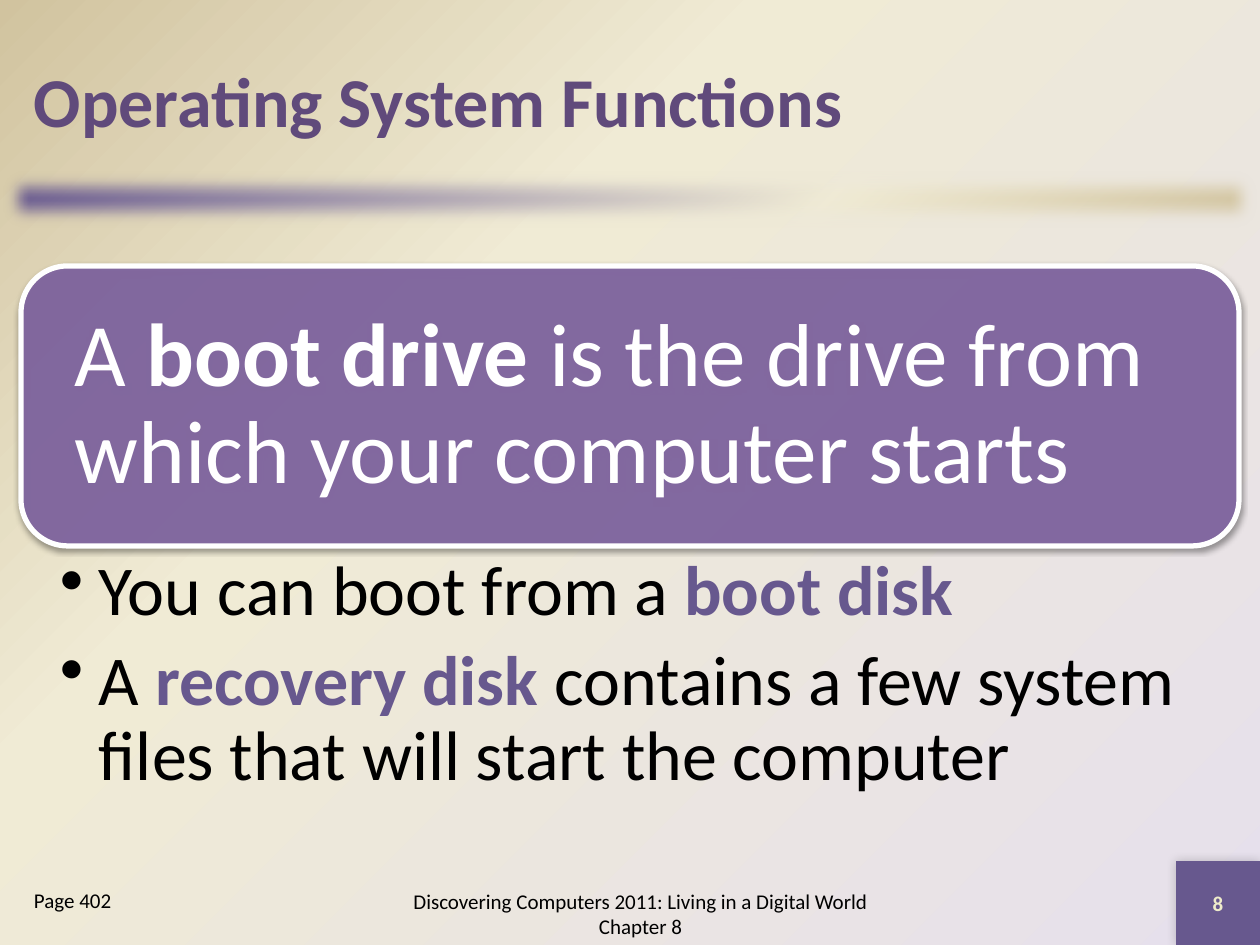
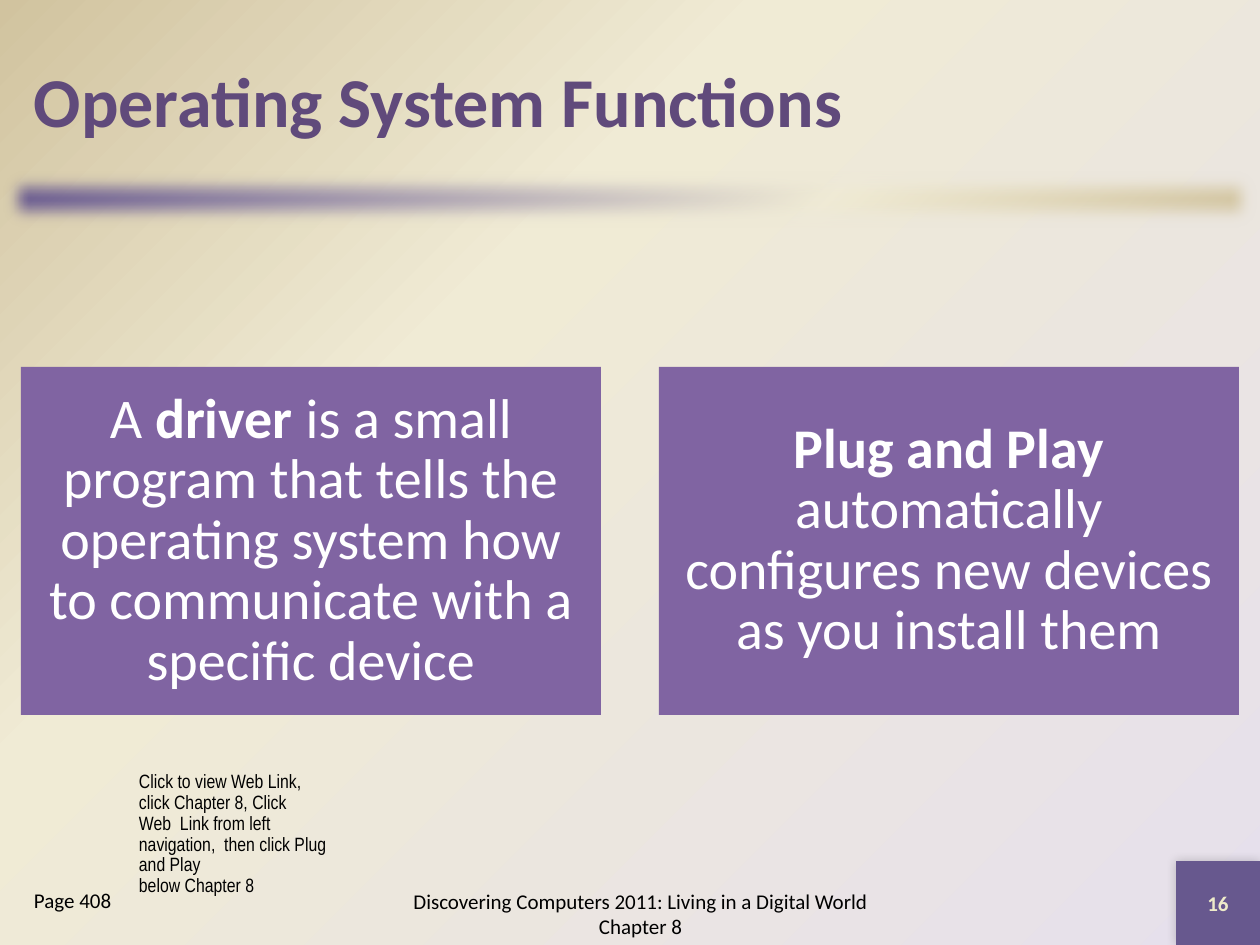
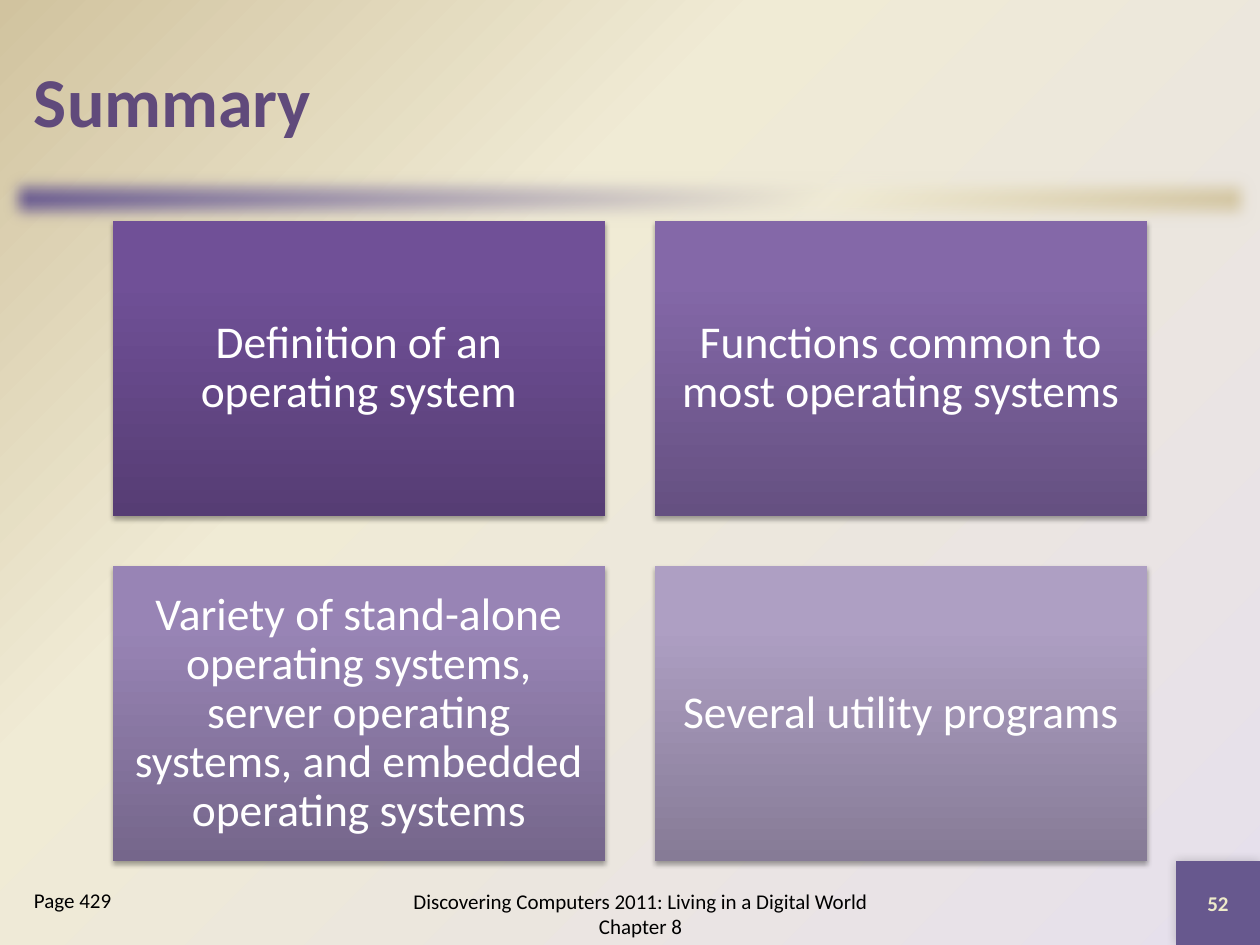
from lxml import etree
from pptx import Presentation
from pptx import util as u
from pptx.dml.color import RGBColor
from pptx.enum import shapes, text
from pptx.oxml.ns import qn

EMU_PER_PX = 914400 / 126
PURPLE, VIOLET, SAND, TAN = "67588E", "8064A2", "F0EBD5", "D1C39F"
TITLE_COLOUR, NUMBER_COLOUR = "604A7B", "EEEBCA"
WHITE, BLACK, LILAC = "FFFFFF", "000000", "E6E0EC"
FOOTER = "Discovering Computers 2011: Living in a Digital World Chapter 8"
LEFT, CENTRE = text.PP_ALIGN.LEFT, text.PP_ALIGN.CENTER
TOP, MIDDLE = text.MSO_ANCHOR.TOP, text.MSO_ANCHOR.MIDDLE
RECT = shapes.MSO_SHAPE.RECTANGLE
ROUNDED = shapes.MSO_SHAPE.ROUNDED_RECTANGLE
BOLD = {"bold": True}
KEY_TERM = {"bold": True, "colour": PURPLE}


def px(length):
    return u.Emu(round(length * EMU_PER_PX))


def rgb(colour):
    return RGBColor.from_string(colour)


def child(parent, tag, **attributes):
    element = etree.SubElement(parent, qn(tag))
    for name, value in attributes.items():
        element.set(name, str(value))
    return element


def gradient(fill, owner, stops, angle=None):
    """Fill with (percent, colour) stops: along an angle, or out from the lower right corner."""
    fill.gradient()
    grad = owner.find(".//" + qn("a:gradFill"))
    for part in list(grad):
        grad.remove(part)
    stop_list = child(grad, "a:gsLst")
    for percent, colour in stops:
        stop = child(stop_list, "a:gs", pos=percent * 1000)
        child(stop, "a:srgbClr", val=colour)
    if angle is None:
        route = child(grad, "a:path", path="circle")
        child(route, "a:fillToRect", l=100000, t=100000)
    else:
        child(grad, "a:lin", ang=angle * 60000, scaled=0)


def effects(shape):
    return shape.element.spPr.find(qn("a:effectLst"))


def drop_shadow(shape, opacity, blur, distance, angle):
    shadow = child(effects(shape), "a:outerShdw", blurRad=u.Pt(blur), dist=u.Pt(distance),
                   dir=angle * 60000, algn="ctr", rotWithShape=0)
    colour = child(shadow, "a:srgbClr", val=BLACK)
    child(colour, "a:alpha", val=opacity * 1000)


def block(slide, box, colour=None, preset=RECT):
    shape = slide.shapes.add_shape(preset, *map(px, box))
    shape.shadow.inherit = False
    shape.line.fill.background()
    if colour:
        shape.fill.solid()
        shape.fill.fore_color.rgb = rgb(colour)
    return shape


def format_font(font, colour, **values):
    for name, value in values.items():
        setattr(font, name, value)
    font.color.rgb = rgb(colour)


def write(shape, paragraphs, size, colour, align=LEFT, anchor=TOP, insets=(13, 6, 13, 6),
          spacing=1.0, after=0, bullet=False, name="Calibri", bold=False):
    """Fill a shape with paragraphs, each a list of (text, font changes) runs."""
    frame = shape.text_frame
    left, top, right, bottom = map(px, insets)
    settings = {"word_wrap": True, "auto_size": text.MSO_AUTO_SIZE.NONE,
                "vertical_anchor": anchor, "margin_left": left, "margin_top": top,
                "margin_right": right, "margin_bottom": bottom}
    for key, value in settings.items():
        setattr(frame, key, value)
    base = {"name": name, "size": u.Pt(size), "bold": bold, "colour": colour}
    for index, runs in enumerate(paragraphs):
        paragraph = frame.add_paragraph() if index else frame.paragraphs[0]
        if bullet:
            properties = paragraph._p.get_or_add_pPr()
            properties.set("marL", str(px(39)))
            properties.set("indent", str(-px(39)))
            child(properties, "a:buChar", char="•")
        paragraph.alignment = align
        paragraph.line_spacing = spacing
        paragraph.space_after = u.Pt(after)
        for words, changes in runs:
            for line_number, line in enumerate(words.split("\n")):
                if line_number:
                    paragraph.add_line_break()
                run = paragraph.add_run()
                run.text = line
                format_font(run.font, **{**base, **changes})


def label(slide, box, paragraphs, size, colour=BLACK, **layout):
    write(slide.shapes.add_textbox(*map(px, box)), paragraphs, size, colour, **layout)


def card(slide, box, runs, size, inset, colour=None):
    shape = block(slide, box, colour)
    write(shape, [runs], size, WHITE, align=CENTRE, anchor=MIDDLE,
          insets=(inset,) * 4, spacing=0.9)
    return shape


def base_slide(prs, heading, page, number):
    slide = prs.slides.add_slide(prs.slide_layouts[5])
    divider = block(slide, (0, 168, 1260, 63))
    gradient(divider.fill, divider.element, [(0, PURPLE), (65, SAND), (100, TAN)], 45)
    child(effects(divider), "a:softEdge", rad=u.Pt(10))

    title = slide.shapes.title
    title.left, title.top, title.width, title.height = map(px, (21, 21, 1218, 158))
    write(title, [[(heading, {})]], 40, TITLE_COLOUR, anchor=MIDDLE, bold=True)

    number_box = block(slide, (1176, 861, 84, 84), PURPLE)
    drop_shadow(number_box, 20, 6, 0, 225)
    write(number_box, [[(str(number), BOLD)]], 12, NUMBER_COLOUR, align=CENTRE, anchor=MIDDLE)
    label(slide, (378, 882, 525, 63), [[(FOOTER, {})]], 12, align=CENTRE, anchor=MIDDLE)
    label(slide, (21, 882, 231, 63), [[(f"Page {page}", {})]], 12)
    return slide


def boot_slide(prs):
    slide = base_slide(prs, "Operating System Functions", 402, 8)
    definition = block(slide, (21, 266, 1218, 280), VIOLET, ROUNDED)
    solid_colour = definition.element.spPr.find(qn("a:solidFill"))[0]
    child(solid_colour, "a:alpha", val=90000)
    definition.line.color.rgb = rgb(WHITE)
    definition.line.width = u.Pt(3)
    drop_shadow(definition, 38, 3.1, 1.6, 90)
    write(definition, [[("A ", {}), ("boot drive", BOLD),
                        (" is the drive from which your computer starts", {})]],
          51, WHITE, anchor=MIDDLE, insets=(40, 40, 38, 40), spacing=0.9)
    label(slide, (21, 546, 1218, 270),
          [[("You can boot from a ", {}), ("boot disk", KEY_TERM)],
           [("A ", {}), ("recovery disk ", KEY_TERM),
            ("contains a few system files that will start the computer", {})]],
          40, insets=(39, 9, 50, 9), spacing=0.9, after=8, bullet=True)


def driver_slide(prs):
    slide = base_slide(prs, "Operating System Functions", 408, 16)
    definitions = [
        [("A ", {}), ("driver", BOLD),
         (" is a small program that tells the operating system how to communicate"
          " with a specific device", {})],
        [("Plug and Play", BOLD),
         (" automatically configures new devices as you install them", {})],
    ]
    width, gap = 580, 58
    for column, runs in enumerate(definitions):
        card(slide, (21 + column * (width + gap), 367, width, 348), runs, 32, 16, VIOLET)
    label(slide, (126, 766, 242, 117),
          [[("Click to view Web Link,\nclick Chapter 8, Click\n"
             "Web  Link from left  navigation,  then click Plug and Play", {})],
           [("below Chapter 8", {})]],
          11, spacing=0.9, name="Arial Narrow")


def summary_slide(prs):
    slide = base_slide(prs, "Summary", 429, 52)
    topics = [
        ("Definition of an operating system", "563D74", "705097", "704F99"),
        ("Functions common to most operating systems", "655081", "8468A8", "8467AA"),
        ("Variety of stand-alone operating systems, server operating systems,"
         " and embedded operating systems", "75668B", "9884B5", "9984B7"),
        ("Several utility programs", "867B96", "AE9FC3", "AE9FC4"),
    ]
    width, height, gap = 492, 295, 50
    for index, (topic, *colours) in enumerate(topics):
        row, column = divmod(index, 2)
        box = (113 + column * (width + gap), 221 + row * (height + gap), width, height)
        topic_card = card(slide, box, [(topic, {})], 26, 14)
        gradient(topic_card.fill, topic_card.element, zip((0, 80, 100), colours), 270)
        drop_shadow(topic_card, 35, 3.1, 1.8, 90)


def main():
    prs = Presentation()
    prs.slide_width, prs.slide_height = px(1260), px(945)
    master = prs.slide_master
    gradient(master.background.fill, master.element, [(0, LILAC), (65, SAND), (100, TAN)])
    boot_slide(prs)
    driver_slide(prs)
    summary_slide(prs)
    prs.save("out.pptx")


if __name__ == "__main__":
    main()
